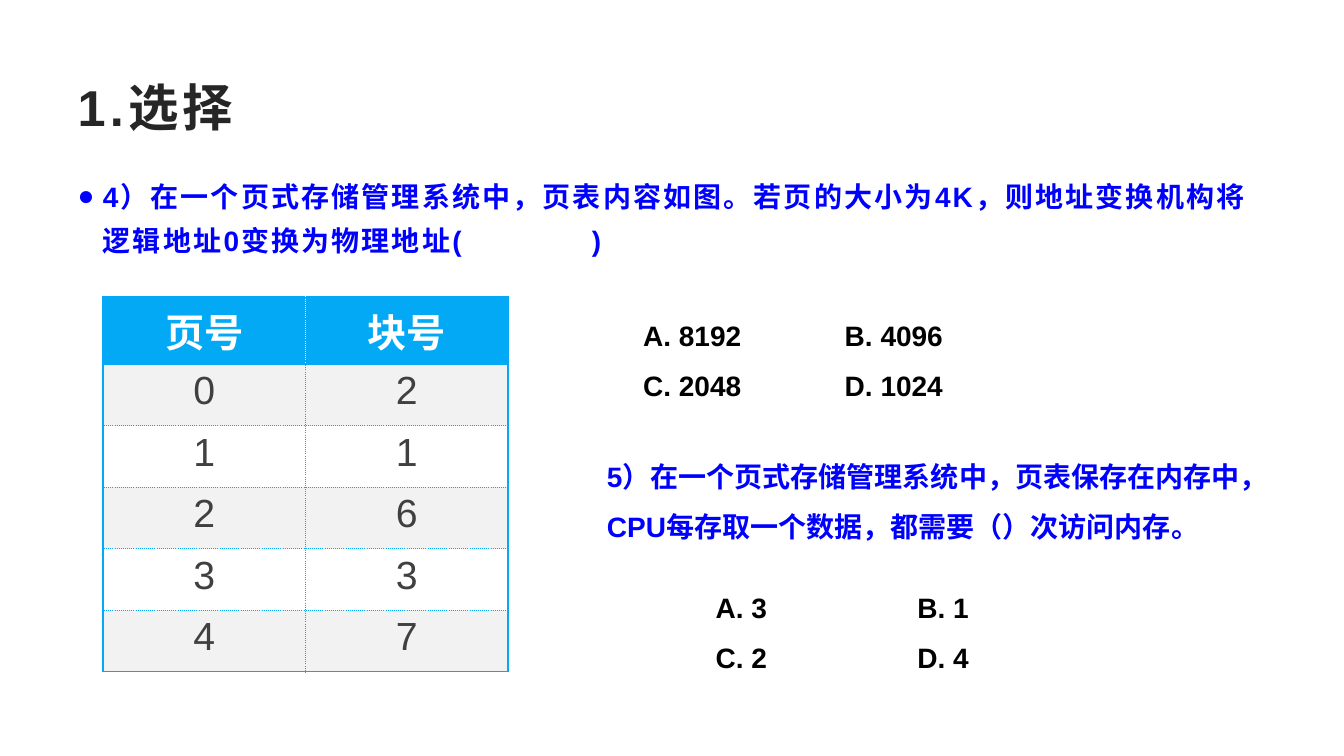
import pptx
import pptx.dml.color
import pptx.enum.text
import pptx.oxml
import pptx.oxml.ns
import pptx.util
from lxml import etree

Inches, Pt = pptx.util.Inches, pptx.util.Pt
RGB = pptx.dml.color.RGBColor
Align, Anchor, Fit = (pptx.enum.text.PP_ALIGN, pptx.enum.text.MSO_ANCHOR,
                      pptx.enum.text.MSO_AUTO_SIZE)
qn = pptx.oxml.ns.qn
NS = 'xmlns:a="http://schemas.openxmlformats.org/drawingml/2006/main"'

DARK = RGB(0x26, 0x26, 0x26)
GREY = RGB(0x40, 0x40, 0x40)
BLUE = RGB(0, 0, 0xFF)
BLACK = RGB(0, 0, 0)
SKY = RGB(0x03, 0xA9, 0xF5)
PALE = RGB(0xF2, 0xF2, 0xF2)
WHITE = RGB(0xFF, 0xFF, 0xFF)


def style(par, size, color, bold=True, gap=0, tabs=()):
    """Set tab stops in inches, font, and letter gap in points."""
    props = par._p.get_or_add_pPr()
    if tabs:
        row = etree.SubElement(props, qn("a:tabLst"))
        for stop in tabs:
            etree.SubElement(row, qn("a:tab"), pos=str(Inches(stop)), algn="l")
    font = par.font
    font.name, font.size, font.bold = "Arial", Pt(size), bold
    font.color.rgb = color
    if gap:
        props.find(qn("a:defRPr")).set("spc", str(int(gap * 100)))


def edge(cell, side, color, solid):
    """Draw one cell border: solid frame or fine dots."""
    width, dash = (1.5, "solid") if solid else (0.25, "dot")
    line = pptx.oxml.parse_xml(
        f'<a:ln{side} {NS} w="{Pt(width)}"><a:solidFill><a:srgbClr val="{color}"/>'
        f'</a:solidFill><a:prstDash val="{dash}"/></a:ln{side}>')
    cell._tc.get_or_add_tcPr().insert("LRTB".index(side), line)


deck = pptx.Presentation()
deck.slide_width, deck.slide_height = Inches(13.33), Inches(7.5)
slide = deck.slides.add_slide(deck.slide_layouts[1])
left, wide = Inches(0.67), Inches(12)

# Title
title = slide.shapes.title
title.left, title.top, title.width, title.height = left, Inches(0.67), wide, Inches(0.77)
frame = title.text_frame
frame.text = "1.选择"
frame.auto_size, frame.vertical_anchor = Fit.NONE, Anchor.MIDDLE
frame.paragraphs[0].alignment = Align.LEFT
style(frame.paragraphs[0], 36, DARK, gap=3)

# Question 4
body = slide.placeholders[1]
body.left, body.top, body.width, body.height = left, Inches(1.63), wide, Inches(5.2)
frame = body.text_frame
frame.text = ("4）在一个页式存储管理系统中，页表内容如图。若页的大小为4K，"
              "则地址变换机构将逻辑地址0变换为物理地址(\t)")
frame.auto_size = Fit.NONE
par = frame.paragraphs[0]
props = par._p.get_or_add_pPr()
props.set("marL", str(Inches(0.25)))
props.set("indent", str(-Inches(0.25)))
etree.SubElement(props, qn("a:buFont"), typeface="Arial")
etree.SubElement(props, qn("a:buChar"), char="●")
par.line_spacing, par.space_before, par.space_after = 1.3, Pt(0), Pt(10)
style(par, 20, BLUE, gap=1.5, tabs=[5.1])

# Page table
rows = [("页号", "块号"), ("0", "2"), ("1", "1"), ("2", "6"), ("3", "3"), ("4", "7")]
cols, last = 2, len(rows) - 1
grid = slide.shapes.add_table(len(rows), cols, Inches(1.02), Inches(2.95),
                              Inches(4.02), Inches(3.66)).table
for r, row in enumerate(rows):
    head = r == 0
    for c, text in enumerate(row):
        cell = grid.cell(r, c)
        cell.text = text
        cell.fill.solid()
        cell.fill.fore_color.rgb = SKY if head else PALE if r % 2 else WHITE
        par = cell.text_frame.paragraphs[0]
        par.alignment = Align.CENTER
        style(par, 28, WHITE if head else GREY, bold=head)
        inner = WHITE if head else SKY
        first, final = c == 0, c == cols - 1
        edge(cell, "L", SKY if first else inner, first)
        edge(cell, "R", SKY if final else inner, final)
        edge(cell, "T", SKY, r <= 1)
        edge(cell, "B", SKY, head or r == last)

# Options and question 5
stops = [1, 3]
notes = [
    (5.28, 2.94, 6.33, BLACK, stops, ["\tA. 8192\tB. 4096", "\tC. 2048\tD. 1024"]),
    (5.92, 4.34, 6.49, BLUE, [], ["5）在一个页式存储管理系统中，页表保存在内存中，"
                                  "CPU每存取一个数据，都需要（）次访问内存。"]),
    (6, 5.64, 6.33, BLACK, stops, ["\tA. 3\tB. 1", "\tC. 2\tD. 4"]),
]
for x, y, width, color, tabs, lines in notes:
    box = slide.shapes.add_textbox(Inches(x), Inches(y), Inches(width), Inches(1.11))
    frame = box.text_frame
    frame.word_wrap, frame.auto_size = True, Fit.SHAPE_TO_FIT_TEXT
    frame.text = "\n".join(lines)
    for par in frame.paragraphs:
        par.line_spacing = 1.5
        style(par, 20, color, tabs=tabs)

deck.save("out.pptx")
